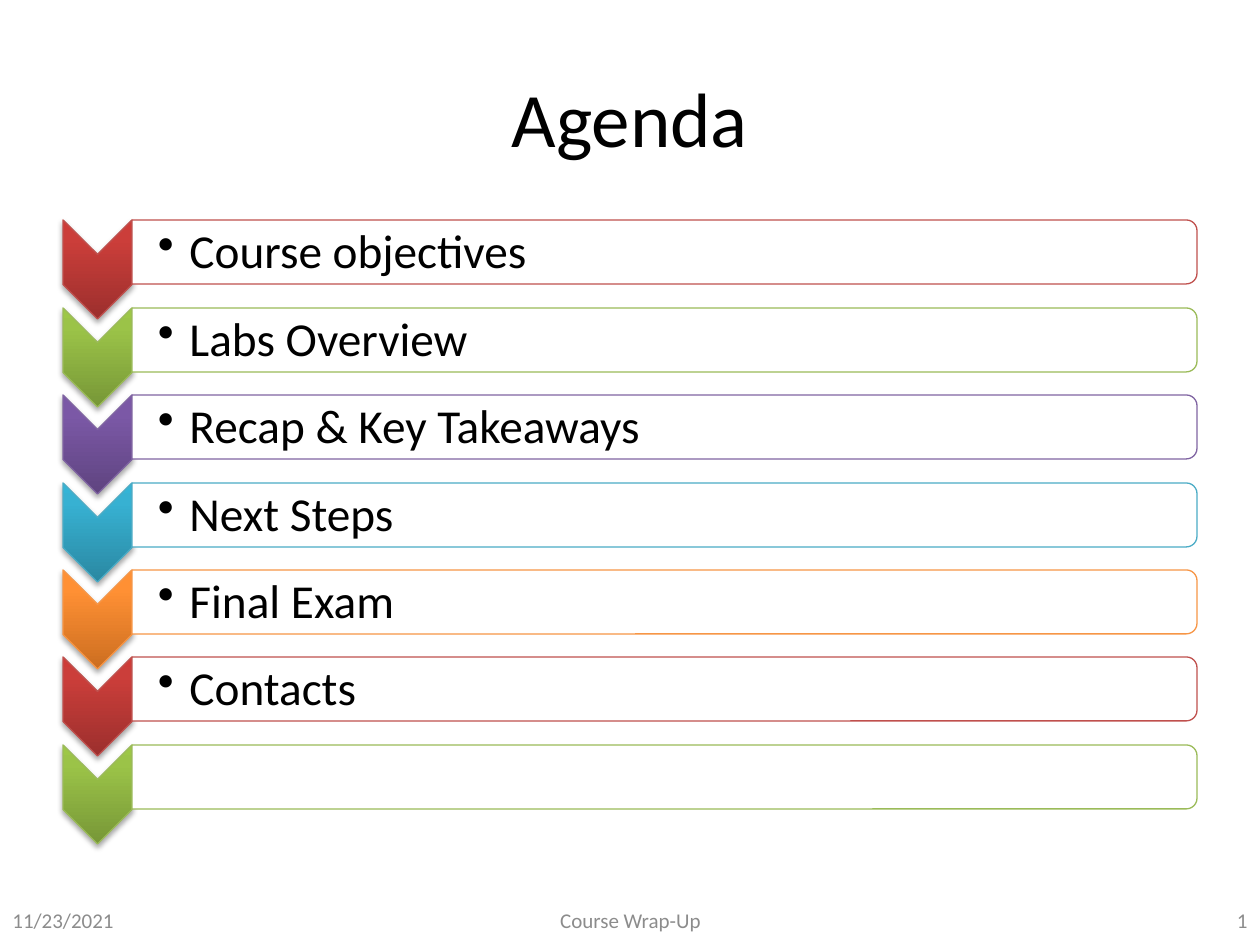
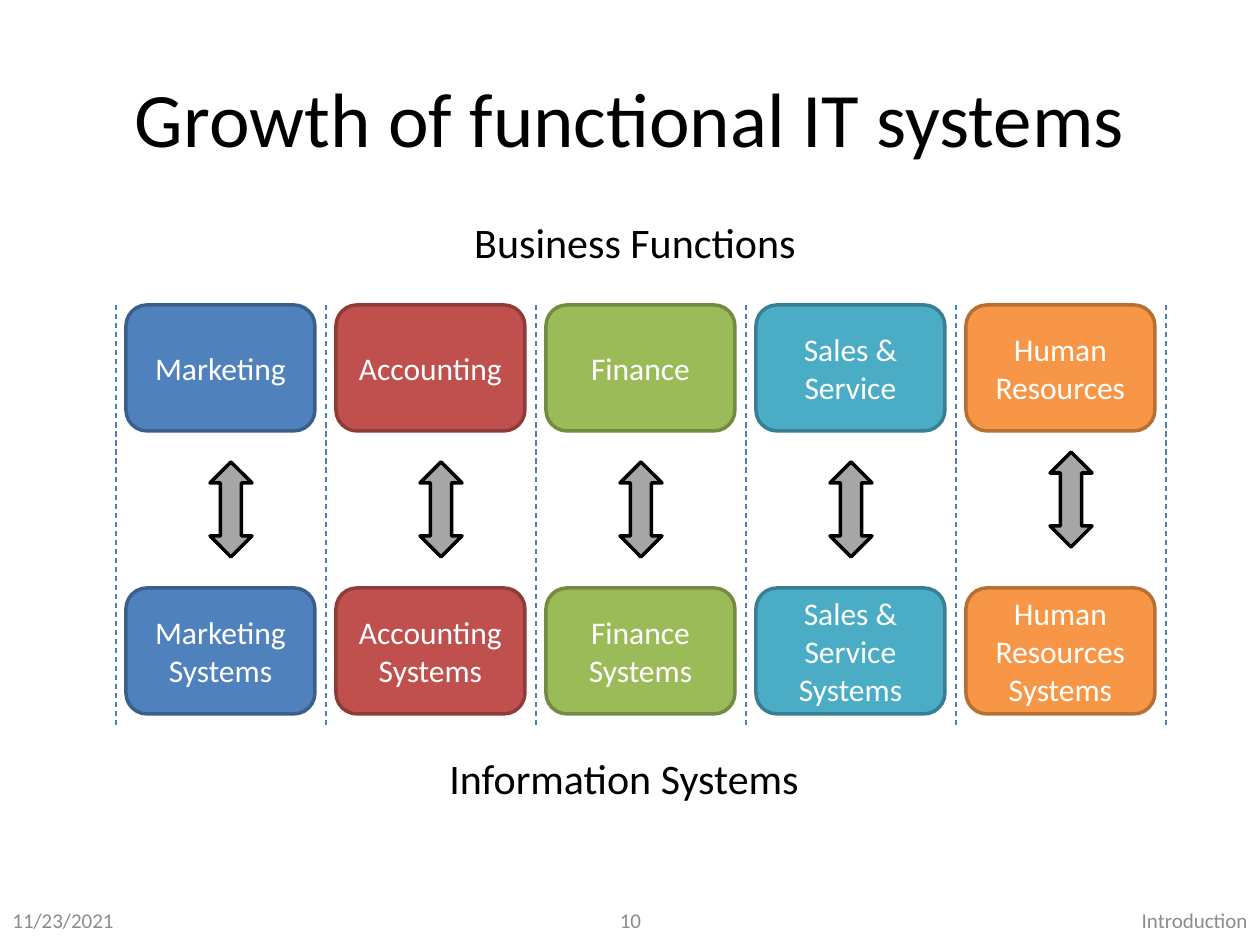
from dataclasses import dataclass

from lxml import etree
from pptx import Presentation
from pptx import util as u
from pptx.dml.color import RGBColor
from pptx.enum import dml, shapes, text
from pptx.oxml import parse_xml
from pptx.oxml.ns import nsdecls, qn

PX_PER_INCH = 126
KIND = shapes.MSO_SHAPE
ALIGN = text.PP_ALIGN
ANCHOR = text.MSO_ANCHOR


@dataclass(frozen=True)
class Hue:
    fill: str
    edge: str = ""
    shades: tuple = ()


@dataclass(frozen=True)
class Theme:
    font: str = "Calibri"
    ink: str = "000000"
    paper: str = "FFFFFF"
    muted: str = "8C8C8C"
    arrow: str = "A6A6A6"
    divider: str = "4B7EBC"
    title_size: int = 44
    agenda_size: int = 27
    label_size: int = 24
    card_size: int = 18
    footer_size: int = 12
    thin: float = 0.75
    thick: int = 2
    blue: Hue = Hue("4F81BD", "3A5F8C")
    red: Hue = Hue("C0504D", "8E3B39", ("9C2F2D", "CB3E3A", "CE3B37"))
    green: Hue = Hue("9BBB59", "738A42", ("779737", "9BC348", "9DC746"))
    purple: Hue = Hue("8064A2", "", ("5F4480", "7B58A6", "7C57A8"))
    teal: Hue = Hue("4BACC6", "377F92", ("2A88A2", "37B1D2", "34B4D6"))
    orange: Hue = Hue("F79646", "B76F34", ("CC6E20", "FF9034", "FF9136"))


THEME = Theme()

AGENDA = ["Course objectives", "Labs Overview", "Recap & Key Takeaways",
          "Next Steps", "Final Exam", "Contacts", ""]
AGENDA_HUES = [THEME.red, THEME.green, THEME.purple, THEME.teal, THEME.orange]

FUNCTIONS = [
    ("Marketing", ["Marketing", "Systems"], THEME.blue),
    ("Accounting", ["Accounting", "Systems"], THEME.red),
    ("Finance", ["Finance", "Systems"], THEME.green),
    ("Sales & Service", ["Sales & Service Systems"], THEME.teal),
    ("Human Resources", ["Human Resources Systems"], THEME.orange),
]
ARROW_SPOTS = [(210, 462), (420, 462), (620, 462), (830, 462), (1050, 452)]


def px(length):
    return u.Emu(round(length * 914400 / PX_PER_INCH))


def emus(*lengths):
    return [px(length) for length in lengths]


def assign(target, values):
    for name, value in values.items():
        setattr(target, name, value)


def write(shape, lines, size, color, align=ALIGN.CENTER, **frame_format):
    """Put one paragraph per line into the shape; return the paragraphs."""
    frame = shape.text_frame
    assign(frame, {"word_wrap": True, "vertical_anchor": ANCHOR.MIDDLE,
                   **frame_format})
    frame.text = "\n".join(lines)
    for para in frame.paragraphs:
        para.alignment = align
        for span in para.runs:
            assign(span.font, {"name": THEME.font, "size": u.Pt(size)})
            span.font.color.rgb = RGBColor.from_string(color)
    return frame.paragraphs


def add_text(page, area, content, size, color=THEME.ink, **layout):
    box = page.shapes.add_textbox(*emus(*area))
    return write(box, [content], size, color, **layout)


def outline(shape, color, width):
    shape.line.color.rgb = RGBColor.from_string(color)
    shape.line.width = u.Pt(width)


def add_block(page, kind, area, fill, edge, width):
    block = page.shapes.add_shape(kind, *emus(*area))
    block.shadow.inherit = False
    block.fill.solid()
    block.fill.fore_color.rgb = RGBColor.from_string(fill)
    outline(block, edge, width)
    return block


def add_turned_block(page, kind, area, fill, edge):
    """Add a block turned by 90 degrees that covers the given area."""
    left, top, width, height = area
    shift = (width - height) / 2
    block = add_block(page, kind, (left + shift, top - shift, height, width),
                      fill, edge, THEME.thin)
    block.rotation = 90
    return block


def shade(shape, colors):
    """Upright three-stop gradient that ignores the turn of the shape."""
    stops = "".join(
        f'<a:gs pos="{place}000"><a:srgbClr val="{color}"/></a:gs>'
        for place, color in zip((0, 80, 100), colors))
    gradient = parse_xml(
        f'<a:gradFill {nsdecls("a")} rotWithShape="0"><a:gsLst>{stops}'
        '</a:gsLst><a:lin ang="16200000" scaled="0"/></a:gradFill>')
    solid = shape.fill._xPr.find(qn("a:solidFill"))
    solid.getparent().replace(solid, gradient)


def drop_shadow(shape):
    effects = shape._element.spPr.find(qn("a:effectLst"))
    effects.append(parse_xml(
        f'<a:outerShdw {nsdecls("a")} blurRad="40000" dist="23000" '
        'dir="5400000" rotWithShape="0"><a:srgbClr val="000000">'
        '<a:alpha val="35000"/></a:srgbClr></a:outerShdw>'))


def add_bullet(para):
    props = para._p.get_or_add_pPr()
    props.set("marL", str(u.Inches(0.25)))
    props.set("indent", str(-u.Inches(0.25)))
    etree.SubElement(props, qn("a:buChar")).set("char", "•")


def add_agenda_row(page, top, content, hue):
    chevron = add_turned_block(page, KIND.CHEVRON, (63, top, 69, 99),
                               hue.fill, hue.fill)
    shade(chevron, hue.shades)
    drop_shadow(chevron)
    add_turned_block(page, KIND.ROUND_2_SAME_RECTANGLE, (132, top, 1065, 64),
                     THEME.paper, hue.fill)
    if content:
        para, = add_text(page, (132, top + 4, 1061, 58), content,
                         THEME.agenda_size, align=ALIGN.LEFT,
                         margin_left=px(26), margin_right=px(3),
                         margin_top=px(3), margin_bottom=px(3))
        para.line_spacing = 0.9
        add_bullet(para)


def add_card(page, left, top, lines, hue):
    card = add_block(page, KIND.ROUNDED_RECTANGLE, (left, top, 189, 126),
                     hue.fill, hue.edge, THEME.thick)
    write(card, lines, THEME.card_size, THEME.paper)


def add_divider(page, x, top, bottom):
    line = page.shapes.add_connector(shapes.MSO_CONNECTOR.STRAIGHT,
                                     *emus(x, top, x, bottom))
    outline(line, THEME.divider, THEME.thin)
    line.line.dash_style = dml.MSO_LINE.DASH
    etree.SubElement(line._element.spPr, qn("a:effectLst"))


def add_page(deck, title, footers):
    """Add a blank page with its title and left, centre and right footers."""
    page = deck.slides.add_slide(deck.slide_layouts[6])
    add_text(page, (63, 38, 1134, 157), title, THEME.title_size)
    places = [(0, 294, ALIGN.LEFT), (431, 399, ALIGN.CENTER),
              (966, 294, ALIGN.RIGHT)]
    for content, (left, width, align) in zip(footers, places):
        add_text(page, (left, 895, width, 50), content, THEME.footer_size,
                 THEME.muted, align=align)
    return page


def build_agenda(deck):
    page = add_page(deck, "Agenda", ["11/23/2021", "Course Wrap-Up", "1"])
    for row, content in enumerate(AGENDA):
        hue = AGENDA_HUES[row % len(AGENDA_HUES)]
        add_agenda_row(page, round(220.4 + row * 87.4), content, hue)


def build_growth(deck):
    page = add_page(deck, "Growth of functional IT systems",
                    ["11/23/2021", "10", "Introduction"])
    pitch = 210
    for column, (function, systems, hue) in enumerate(FUNCTIONS):
        left = 126 + column * pitch
        add_card(page, left, 305, [function], hue)
        add_card(page, left, 588, systems, hue)
    for left, top in ARROW_SPOTS:
        add_block(page, KIND.UP_DOWN_ARROW, (left, top, 42, 95),
                  THEME.arrow, THEME.ink, THEME.thick)
    for left, top, content in [(399, 210, "Business Functions"),
                               (388, 746, "Information Systems")]:
        add_text(page, (left, top, 472, 63), content, THEME.label_size,
                 vertical_anchor=ANCHOR.TOP)
    for column in range(len(FUNCTIONS) + 1):
        add_divider(page, 116 + column * pitch, 305, 725)


def main():
    deck = Presentation()
    assign(deck, {"slide_width": px(1260), "slide_height": px(945)})
    build_agenda(deck)
    build_growth(deck)
    deck.save("out.pptx")


if __name__ == "__main__":
    main()
